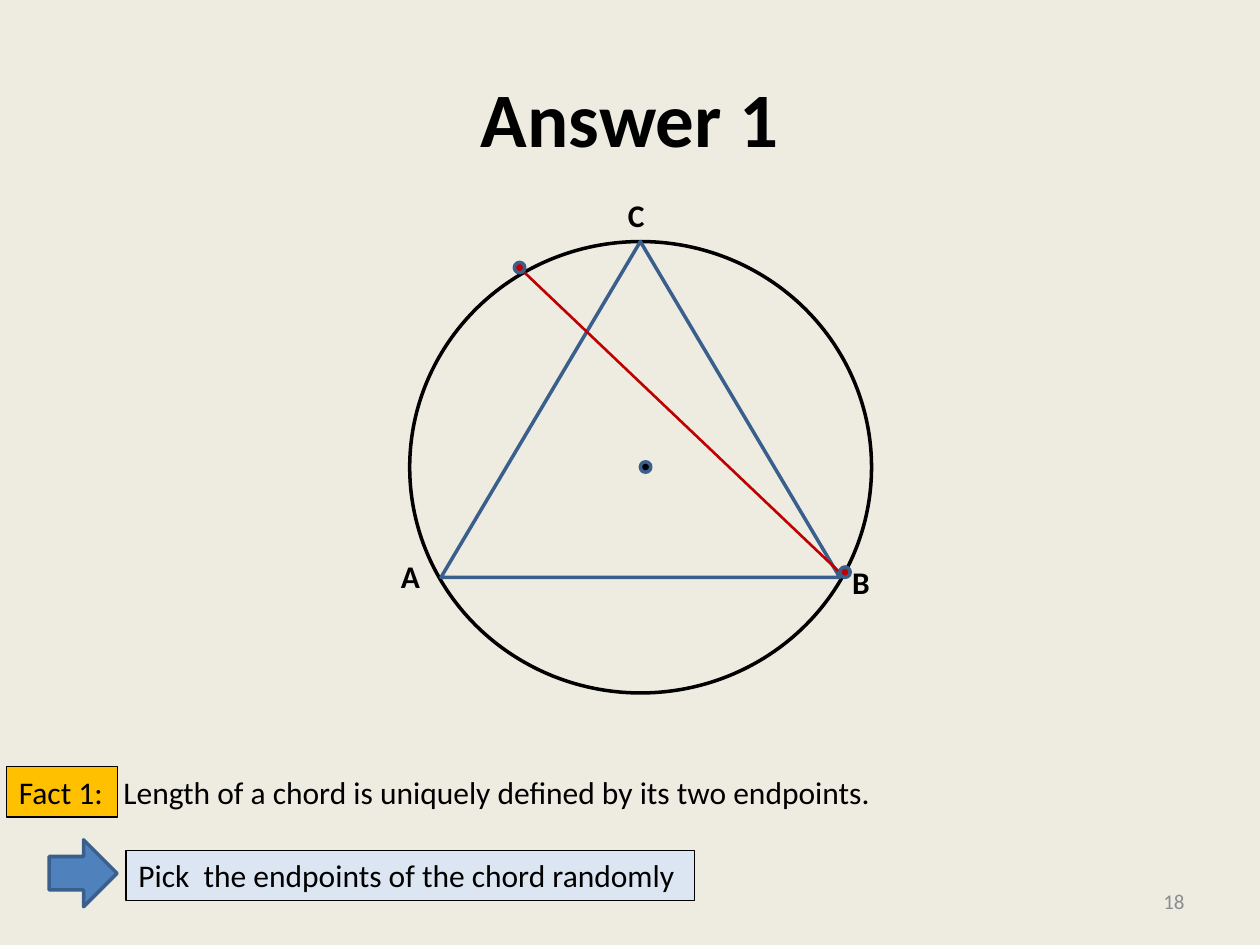
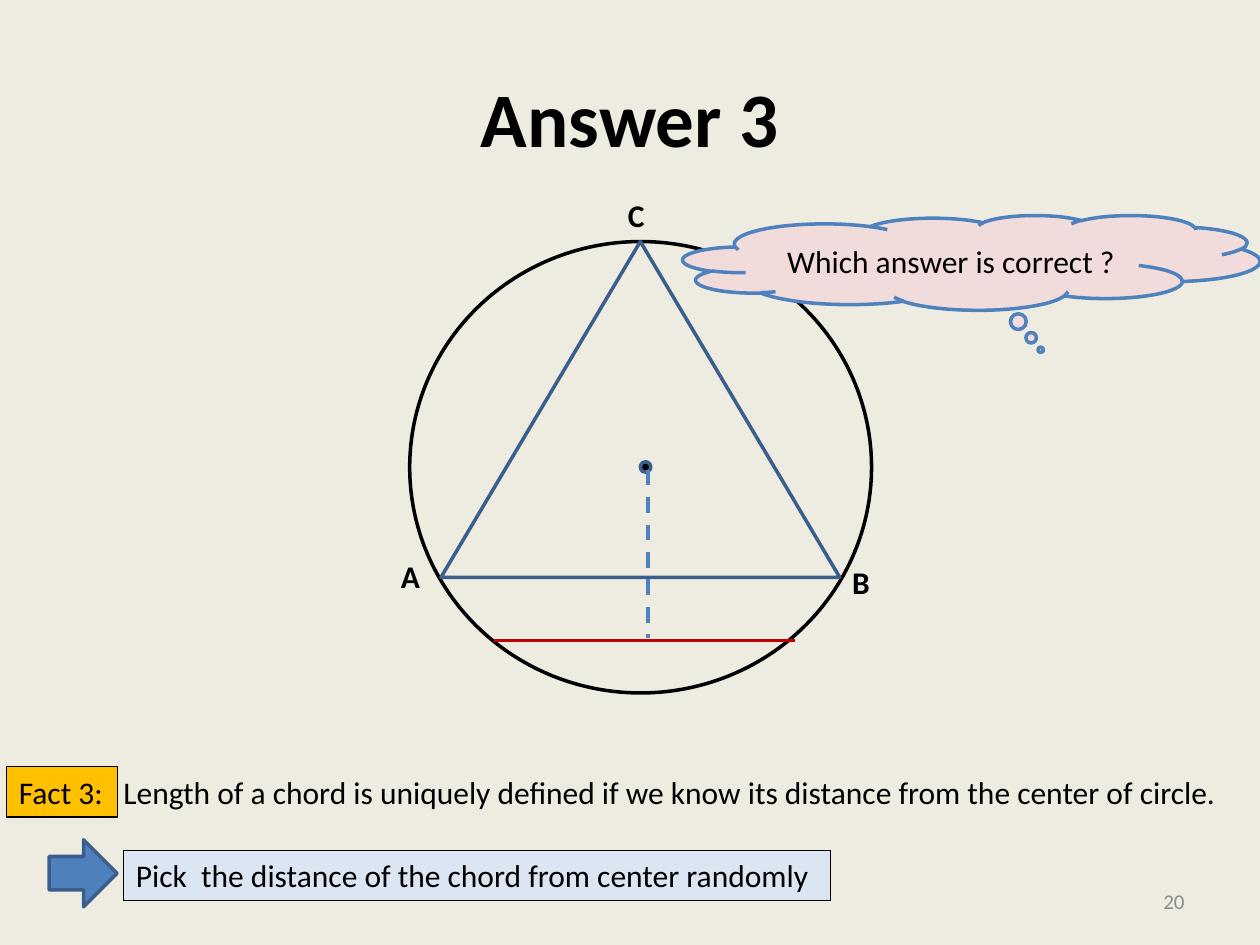
from lxml import etree
from pptx import Presentation
from pptx.dml.color import RGBColor
from pptx.enum.dml import MSO_LINE
from pptx.enum.shapes import MSO_CONNECTOR, MSO_SHAPE
from pptx.enum.text import MSO_ANCHOR, MSO_AUTO_SIZE, PP_ALIGN
from pptx.oxml.ns import qn
from pptx.util import Cm, Pt

# Shared look
FONT = "Calibri"
CREAM = RGBColor(0xEE, 0xEC, 0xE1)
BLACK = RGBColor(0x00, 0x00, 0x00)
GREY = RGBColor(0x8C, 0x8C, 0x8C)
BLUE = RGBColor(0x4F, 0x81, 0xBD)
DARK_BLUE = RGBColor(0x3A, 0x5F, 0x8C)
PALE_BLUE = RGBColor(0xDC, 0xE6, 0xF2)
RED = RGBColor(0xC0, 0x00, 0x00)
AMBER = RGBColor(0xFF, 0xC0, 0x00)
PINK = RGBColor(0xF2, 0xDC, 0xDB)

# Shared measures in centimetres
LINE_HEIGHT = 1.02
DOT_SIZE = 0.21
FACT_TOP = 15.45
PICK_TOP = 17.14


def write_text(box, text, size=18, color=BLACK, bold=False,
               align=PP_ALIGN.LEFT, anchor=MSO_ANCHOR.TOP, wrap=False):
    """Put one formatted paragraph into a box."""
    frame = box.text_frame
    frame.word_wrap = wrap
    frame.auto_size = MSO_AUTO_SIZE.NONE if wrap else MSO_AUTO_SIZE.SHAPE_TO_FIT_TEXT
    frame.vertical_anchor = anchor
    para = frame.paragraphs[0]
    para.alignment = align
    span = para.add_run()
    span.text = text
    span.font.name = FONT
    span.font.size = Pt(size)
    span.font.bold = bold
    span.font.color.rgb = color


def add_label(page, text, left, top, width, height=LINE_HEIGHT, **text_format):
    box = page.shapes.add_textbox(Cm(left), Cm(top), Cm(width), Cm(height))
    write_text(box, text, **text_format)


def add_figure(page, kind, left, top, width, height,
               fill=None, line=DARK_BLUE, weight=2):
    figure = page.shapes.add_shape(kind, Cm(left), Cm(top), Cm(width), Cm(height))
    figure.shadow.inherit = False
    if fill is None:
        figure.fill.background()
    else:
        figure.fill.solid()
        figure.fill.fore_color.rgb = fill
    figure.line.color.rgb = line
    figure.line.width = Pt(weight)
    return figure


def add_framed_text(page, text, left, top, width, fill):
    frame = add_figure(page, MSO_SHAPE.RECTANGLE, left, top, width, LINE_HEIGHT,
                       fill=fill, line=BLACK, weight=0.75)
    write_text(frame, text)


def add_dot(page, left, top, fill):
    add_figure(page, MSO_SHAPE.OVAL, left, top, DOT_SIZE, DOT_SIZE, fill=fill)


def add_segment(page, start, end, color=RED, weight=1.5, dash=None):
    segment = page.shapes.add_connector(
        MSO_CONNECTOR.STRAIGHT, *(Cm(value) for value in (*start, *end)))
    segment.line.color.rgb = color
    segment.line.width = Pt(weight)
    if dash is not None:
        segment.line.dash_style = dash
    etree.SubElement(segment._element.spPr, qn("a:effectLst"))


def add_page(deck, title, number):
    """Start a page with the shared background, title and number."""
    page = deck.slides.add_slide(deck.slide_layouts[6])
    page.background.fill.solid()
    page.background.fill.fore_color.rgb = CREAM
    add_label(page, title, 1.27, 0.76, 22.86, 3.18, size=44, bold=True,
              align=PP_ALIGN.CENTER, anchor=MSO_ANCHOR.MIDDLE, wrap=True)
    add_label(page, number, 18.2, 17.66, 5.93, size=12, color=GREY,
              align=PP_ALIGN.RIGHT, anchor=MSO_ANCHOR.MIDDLE, wrap=True)
    return page


def add_circle_diagram(page):
    """Circle with its inscribed triangle, centre and corner letters."""
    add_figure(page, MSO_SHAPE.OVAL, 8.26, 4.87, 9.31, 9.1, line=BLACK)
    add_figure(page, MSO_SHAPE.ISOSCELES_TRIANGLE, 8.89, 4.87, 8.04, 6.77)
    add_dot(page, 12.91, 9.31, BLACK)
    for letter, left, top in (("A", 7.83, 11.11), ("B", 16.93, 11.22),
                              ("C", 12.41, 3.83)):
        add_label(page, letter, left, top, 0.87, bold=True)


def add_fact(page, name, fact, fact_width, advice, advice_left, advice_width):
    """Named fact, and the arrow to the advice that follows from it."""
    add_label(page, fact, 2.24, FACT_TOP, fact_width)
    add_framed_text(page, name, 0.13, FACT_TOP, 2.24, AMBER)
    add_figure(page, MSO_SHAPE.RIGHT_ARROW, 0.99, 16.93, 1.37, 1.35, fill=BLUE)
    add_framed_text(page, advice, advice_left, PICK_TOP, advice_width, PALE_BLUE)


def add_thought(page, text):
    cloud = add_figure(page, MSO_SHAPE.CLOUD_CALLOUT, 13.77, 4.34, 11.63, 1.91,
                       fill=PINK, line=BLUE)
    cloud.adjustments[0] = 0.12
    cloud.adjustments[1] = 0.92
    write_text(cloud, text, align=PP_ALIGN.CENTER,
               anchor=MSO_ANCHOR.MIDDLE, wrap=True)


def main():
    deck = Presentation()
    deck.slide_width = Cm(25.4)
    deck.slide_height = Cm(19.05)

    # Chord through two random endpoints
    endpoints = add_page(deck, "Answer 1", "18")
    add_circle_diagram(endpoints)
    add_segment(endpoints, (10.58, 5.5), (16.93, 11.54))
    add_dot(endpoints, 16.93, 11.43, RED)
    add_dot(endpoints, 10.37, 5.29, RED)
    add_fact(endpoints, "Fact 1:",
             "Length of a chord is uniquely defined by its two endpoints.", 15.77,
             "Pick  the endpoints of the chord randomly", 2.54, 11.46)

    # Chord at a random distance from the centre
    distance = add_page(deck, "Answer 3", "20")
    add_circle_diagram(distance)
    add_segment(distance, (9.95, 12.91), (16.02, 12.91))
    add_segment(distance, (13.06, 9.47), (13.06, 12.86),
                color=BLUE, weight=2.25, dash=MSO_LINE.DASH)
    add_thought(distance, "Which answer is correct ?")
    add_fact(distance, "Fact 3:",
             "Length of a chord is uniquely defined if we know its distance "
             "from the center of circle.", 23.16,
             "Pick  the distance of the chord from center randomly", 2.49, 14.25)

    deck.save("out.pptx")


if __name__ == "__main__":
    main()
